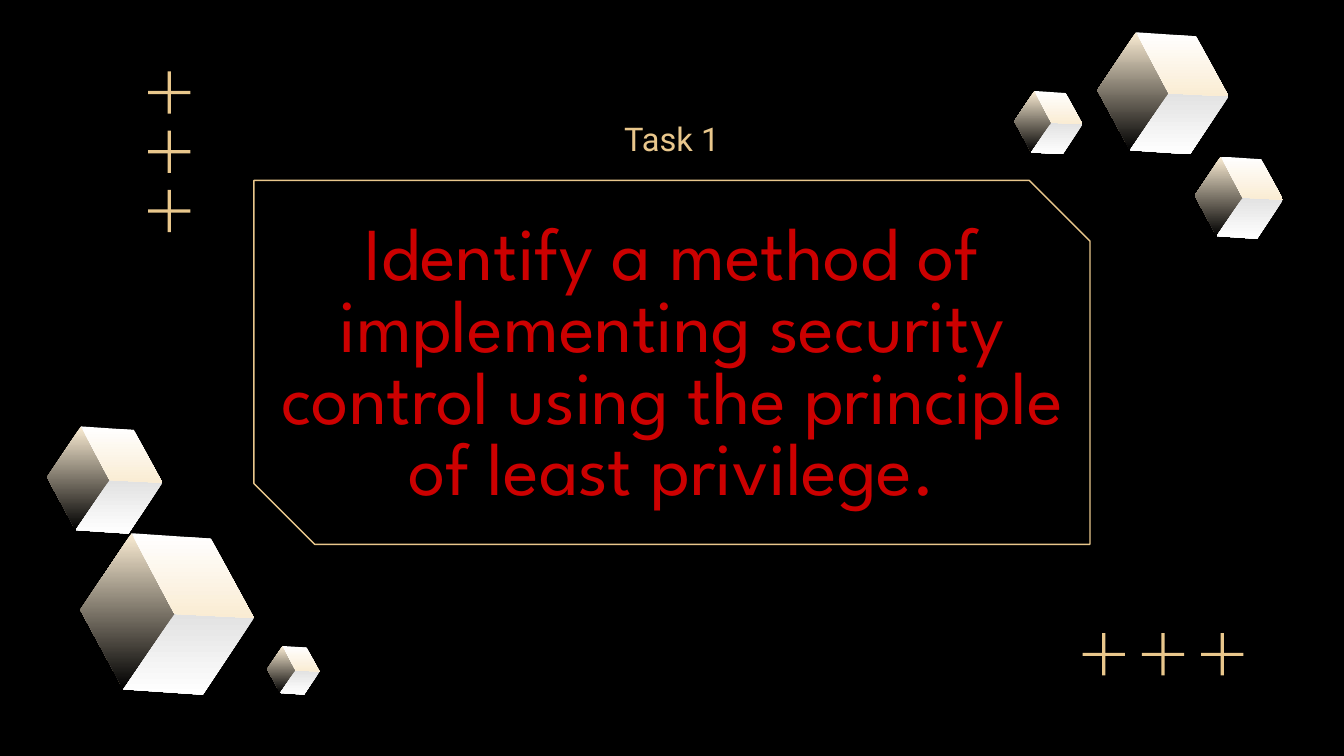
"""Build the Task 1 title slide with its frame, plus signs and shaded cubes."""
from typing import NamedTuple

from pptx import Presentation
from pptx.dml.color import RGBColor
from pptx.enum.shapes import MSO_SHAPE as Preset
from pptx.enum.text import MSO_ANCHOR as Anchor, PP_ALIGN as Align
from pptx.util import Cm, Pt

GOLD, RED, BLACK, WHITE = "E9C78C", "CC0000", "000000", "FFFFFF"
CREAM, GREY = "FAECD3", "E2E2E2"
PLUS_SIZE, PLUS_THICKNESS, PLUS_PITCH = 0.8, 0.06, 1.12
CUBE_UNITS = 129


class Cube(NamedTuple):
    left: float
    top: float
    width: float


class Face(NamedTuple):
    corners: tuple[tuple[int, int], ...]
    upper: str
    lower: str


class PlusRun(NamedTuple):
    x: float
    y: float
    step_x: float
    step_y: float


PEAK, WEST, SOUTH, CENTRE = (38, 0), (0, 57), (32, 116), (70, 60)
EAST, SOUTH_EAST, NORTH_EAST = (129, 63), (91, 120), (97, 4)
FACES = (
    Face((PEAK, WEST, SOUTH, CENTRE), CREAM, BLACK),
    Face((CENTRE, EAST, SOUTH_EAST, SOUTH), GREY, WHITE),
    Face((PEAK, NORTH_EAST, EAST, CENTRE), WHITE, CREAM),
)
CUBES = (
    Cube(1.52, 10.08, 3.28),
    Cube(0.89, 8.06, 2.18),
    Cube(5.05, 12.21, 0.99),
    Cube(20.74, 0.61, 2.48),
    Cube(22.58, 2.96, 1.67),
    Cube(19.17, 1.72, 1.29),
)
PLUS_RUNS = (
    PlusRun(3.2, 1.75, 0, PLUS_PITCH),
    PlusRun(20.86, 12.37, PLUS_PITCH, 0),
)


def colour(code: str) -> RGBColor:
    return RGBColor.from_string(code)


def draw_text(slide, text: str, left: float, top: float, width: float, height: float, *,
              font: str, size: float, ink: str, spacing: float = 1.0) -> None:
    frame = slide.shapes.add_textbox(Cm(left), Cm(top), Cm(width), Cm(height)).text_frame
    frame.word_wrap = True
    frame.vertical_anchor = Anchor.MIDDLE
    frame.margin_left = frame.margin_right = Cm(0.25)
    frame.margin_top = frame.margin_bottom = Cm(0.25)
    line = frame.paragraphs[0]
    line.text = text
    line.alignment = Align.CENTER
    line.line_spacing = spacing
    line.font.name = font
    line.font.size = Pt(size)
    line.font.color.rgb = colour(ink)


def draw_frame(slide) -> None:
    frame = slide.shapes.add_shape(Preset.SNIP_2_DIAG_RECTANGLE, Cm(4.8), Cm(3.41), Cm(15.8), Cm(6.88))
    frame.adjustments[0] = 0
    frame.adjustments[1] = 0.167
    frame.shadow.inherit = False
    frame.fill.background()
    frame.line.color.rgb = colour(GOLD)
    frame.line.width = Pt(0.75)


def draw_plus_run(slide, run: PlusRun, count: int = 3) -> None:
    group = slide.shapes.add_group_shape()
    for i in range(count):
        x, y = run.x + i * run.step_x, run.y + i * run.step_y
        for width, height in ((PLUS_SIZE, PLUS_THICKNESS), (PLUS_THICKNESS, PLUS_SIZE)):
            bar = group.shapes.add_shape(
                Preset.RECTANGLE, Cm(x - width / 2), Cm(y - height / 2), Cm(width), Cm(height))
            bar.shadow.inherit = False
            bar.fill.solid()
            bar.fill.fore_color.rgb = colour(GOLD)
            bar.line.fill.background()


def draw_cube(slide, cube: Cube) -> None:
    group = slide.shapes.add_group_shape()
    for face in FACES:
        start, *others = face.corners
        outline = group.shapes.build_freeform(*start, scale=Cm(cube.width) / CUBE_UNITS)
        outline.add_line_segments(others, close=True)
        side = outline.convert_to_shape(Cm(cube.left), Cm(cube.top))
        side.shadow.inherit = False
        side.line.fill.background()
        side.fill.gradient()
        side.fill.gradient_angle = 270
        for stop, shade, position in zip(side.fill.gradient_stops, (face.upper, face.lower), (0, 1)):
            stop.color.rgb = colour(shade)
            stop.position = position


def main() -> None:
    deck = Presentation()
    deck.slide_width, deck.slide_height = Cm(25.4), Cm(14.29)
    slide = deck.slides.add_slide(deck.slide_layouts[6])
    slide.background.fill.solid()
    slide.background.fill.fore_color.rgb = colour(BLACK)

    draw_frame(slide)
    draw_text(slide, "Identify a method of implementing security control using "
              "the principle of least privilege.", 4.52, 3.66, 16.36, 6.55,
              font="League Spartan", size=40, ink=RED, spacing=0.8)
    draw_text(slide, "Task 1", 4.52, 1.96, 16.36, 1.32, font="Roboto", size=17.5, ink=GOLD)
    for run in PLUS_RUNS:
        draw_plus_run(slide, run)
    for cube in CUBES:
        draw_cube(slide, cube)
    deck.save("out.pptx")


if __name__ == "__main__":
    main()
